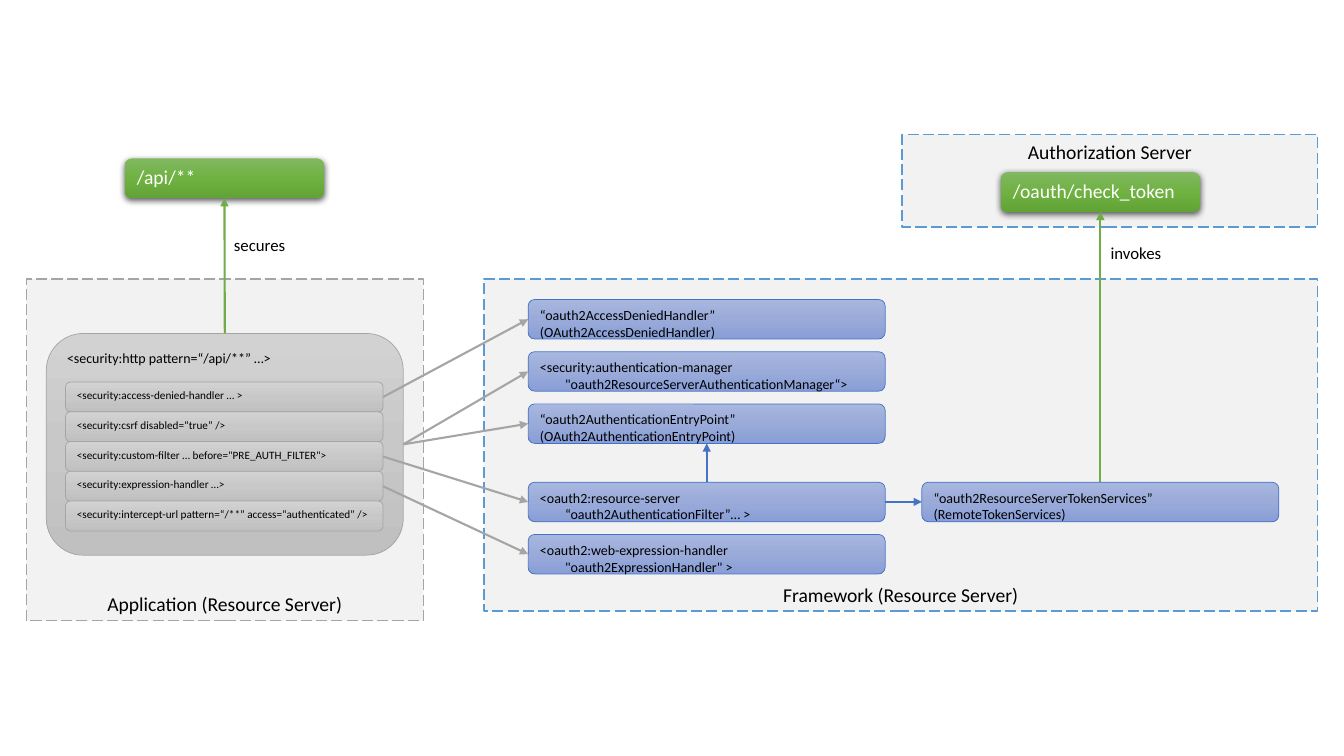
from copy import deepcopy

from lxml.etree import SubElement
from pptx import Presentation
from pptx.dml.color import RGBColor
from pptx.enum.dml import MSO_LINE
from pptx.enum.shapes import MSO_CONNECTOR, MSO_SHAPE
from pptx.enum.text import MSO_ANCHOR, MSO_AUTO_SIZE, PP_ALIGN
from pptx.oxml.ns import qn
from pptx.util import Pt

FONT = "Calibri"
BLACK = RGBColor(0x00, 0x00, 0x00)
WHITE = RGBColor(0xFF, 0xFF, 0xFF)
PANEL = RGBColor(0xF2, 0xF2, 0xF2)
GRAY = RGBColor(0xA5, 0xA5, 0xA5)
BLUE = RGBColor(0x44, 0x72, 0xC4)
LIGHT_BLUE = RGBColor(0x5B, 0x9B, 0xD5)
GREEN = RGBColor(0x70, 0xAD, 0x47)
GRAY_GRADIENT = (RGBColor(0xD2, 0xD2, 0xD2), RGBColor(0xC8, 0xC8, 0xC8), RGBColor(0xC0, 0xC0, 0xC0))
BLUE_GRADIENT = (RGBColor(0xA8, 0xB7, 0xDF), RGBColor(0x9A, 0xAB, 0xD9), RGBColor(0x88, 0x9E, 0xD7))
GREEN_GRADIENT = (RGBColor(0x81, 0xB8, 0x61), RGBColor(0x6F, 0xB2, 0x42), RGBColor(0x62, 0xA3, 0x36))

# Connection sites of a rounded rectangle
TOP, LEFT, BOTTOM, RIGHT = range(4)

BEAN_X, BEAN_Y, BEAN_W, BEAN_H, BEAN_PITCH = 377.3, 213.9, 255, 28.2, 37.3
RULE_X, RULE_Y, RULE_W, RULE_H, RULE_PITCH = 46.8, 272.9, 226.8, 21.4, 21.25


def write(sp, text, size, color=BLACK, align=PP_ALIGN.LEFT, anchor=MSO_ANCHOR.TOP):
    tf = sp.text_frame
    tf.text = text
    tf.vertical_anchor = anchor
    for p in tf.paragraphs:
        p.alignment = align
        for r in p.runs:
            r.font.name = FONT
            r.font.size = Pt(size)
            r.font.color.rgb = color


def add_box(slide, kind, x, y, w, h):
    sp = slide.shapes.add_shape(kind, Pt(x), Pt(y), Pt(w), Pt(h))
    sp.shadow.inherit = False
    return sp


def add_panel(slide, x, y, w, h, title, line, anchor):
    sp = add_box(slide, MSO_SHAPE.RECTANGLE, x, y, w, h)
    sp.fill.solid()
    sp.fill.fore_color.rgb = PANEL
    sp.line.color.rgb = line
    sp.line.width = Pt(1)
    sp.line.dash_style = MSO_LINE.LONG_DASH
    write(sp, title, 14, align=PP_ALIGN.CENTER, anchor=anchor)


def fill_gradient(sp, colors):
    sp.fill.gradient()
    sp.fill.gradient_angle = 270
    first = sp.fill.gradient_stops[0]._gs
    first.addnext(deepcopy(first))
    for stop, position, color in zip(sp.fill.gradient_stops, (0, 0.5, 1), colors):
        stop.position = position
        stop.color.rgb = color


def add_node(slide, x, y, w, h, text, size, colors, line):
    sp = add_box(slide, MSO_SHAPE.ROUNDED_RECTANGLE, x, y, w, h)
    fill_gradient(sp, colors)
    sp.line.color.rgb = line
    sp.line.width = Pt(0.5)
    write(sp, text, size)
    return sp


def add_bean(slide, x, slot, text, indent=0):
    y = BEAN_Y + slot * BEAN_PITCH
    sp = add_node(slide, x, y, BEAN_W, BEAN_H, text, 10, BLUE_GRADIENT, BLUE)
    if indent:
        second = sp.text_frame.paragraphs[1]
        second._p.get_or_add_pPr().set("marL", str(Pt(indent)))
    return sp


def add_endpoint(slide, x, y, text):
    sp = add_box(slide, MSO_SHAPE.ROUNDED_RECTANGLE, x, y, 142, 28.2)
    fill_gradient(sp, GREEN_GRADIENT)
    sp.line.fill.background()
    effects = sp._element.spPr.find(qn("a:effectLst"))
    shadow = SubElement(effects, qn("a:outerShdw"), blurRad=str(Pt(4.5)), dist=str(Pt(1.5)),
                        dir="5400000", algn="ctr", rotWithShape="0")
    black = SubElement(shadow, qn("a:srgbClr"), val="000000")
    SubElement(black, qn("a:alpha"), val="63000")
    write(sp, text, 14, WHITE)
    return sp


def add_label(slide, x, y, w, text):
    sp = slide.shapes.add_textbox(Pt(x), Pt(y), Pt(w), Pt(21.8))
    write(sp, text, 12)
    sp.text_frame.word_wrap = False
    sp.text_frame.auto_size = MSO_AUTO_SIZE.SHAPE_TO_FIT_TEXT


def add_arrow(slide, start, start_site, end, end_site, color):
    line = slide.shapes.add_connector(MSO_CONNECTOR.STRAIGHT, 0, 0, 0, 0)
    line.begin_connect(start, start_site)
    line.end_connect(end, end_site)
    line.line.color.rgb = color
    line.line.width = Pt(1.5)
    SubElement(line.line._get_or_add_ln(), qn("a:tailEnd"), type="triangle")
    SubElement(line._element.spPr, qn("a:effectLst"))


def main():
    prs = Presentation()
    prs.slide_width, prs.slide_height = Pt(960), Pt(540)
    slide = prs.slides.add_slide(prs.slide_layouts[6])

    # Panels
    add_panel(slide, 18.8, 199.4, 283.7, 244, "Application (Resource Server)", GRAY, MSO_ANCHOR.BOTTOM)
    add_panel(slide, 644.4, 96.3, 296.8, 66, "Authorization Server", LIGHT_BLUE, MSO_ANCHOR.TOP)
    add_panel(slide, 345.6, 199.4, 595.6, 237, "Framework (Resource Server)", LIGHT_BLUE, MSO_ANCHOR.BOTTOM)

    # Endpoints
    api = add_endpoint(slide, 89.3, 113.2, "/api/**")
    check_token = add_endpoint(slide, 715, 123, "/oauth/check_token")

    # Security configuration of the application
    http = add_node(slide, 33.1, 238.2, 255, 158.4, "<security:http pattern=“/api/**” …>",
                    10, GRAY_GRADIENT, GRAY)
    rules = [
        "<security:access-denied-handler … >",
        "<security:csrf disabled=“true” />",
        "<security:custom-filter … before=\"PRE_AUTH_FILTER\">",
        "<security:expression-handler …>",
        "<security:intercept-url pattern=“/**” access=“authenticated” />",
    ]
    denied_rule, _, filter_rule, expression_rule, _ = [
        add_node(slide, RULE_X, RULE_Y + i * RULE_PITCH, RULE_W, RULE_H, text, 8, GRAY_GRADIENT, GRAY)
        for i, text in enumerate(rules)
    ]

    # Framework beans
    denied = add_bean(slide, BEAN_X, 0, "“oauth2AccessDeniedHandler”\n(OAuth2AccessDeniedHandler)")
    manager = add_bean(slide, BEAN_X, 1, "<security:authentication-manager\n"
                       "\"oauth2ResourceServerAuthenticationManager“>", 18)
    entry_point = add_bean(slide, BEAN_X, 2,
                           "“oauth2AuthenticationEntryPoint”\n(OAuth2AuthenticationEntryPoint)")
    resource = add_bean(slide, BEAN_X, 3.5, "<oauth2:resource-server\n“oauth2AuthenticationFilter”… >", 18)
    expression = add_bean(slide, BEAN_X, 4.5,
                          "<oauth2:web-expression-handler\n\"oauth2ExpressionHandler\" >", 18)
    tokens = add_bean(slide, 658.5, 3.5, "“oauth2ResourceServerTokenServices”\n(RemoteTokenServices)")

    # Configuration to framework
    for start, end in [(denied_rule, denied), (http, manager), (http, entry_point),
                       (filter_rule, resource), (expression_rule, expression)]:
        add_arrow(slide, start, RIGHT, end, LEFT, GRAY)

    # Within the framework
    add_arrow(slide, resource, RIGHT, tokens, LEFT, BLUE)
    add_arrow(slide, resource, TOP, entry_point, BOTTOM, BLUE)

    # To the endpoints
    add_arrow(slide, http, TOP, api, BOTTOM, GREEN)
    add_arrow(slide, tokens, TOP, check_token, BOTTOM, GREEN)
    add_label(slide, 160, 164.2, 51.8, "secures")
    add_label(slide, 786.2, 170, 51.1, "invokes")

    prs.save("out.pptx")


if __name__ == "__main__":
    main()
